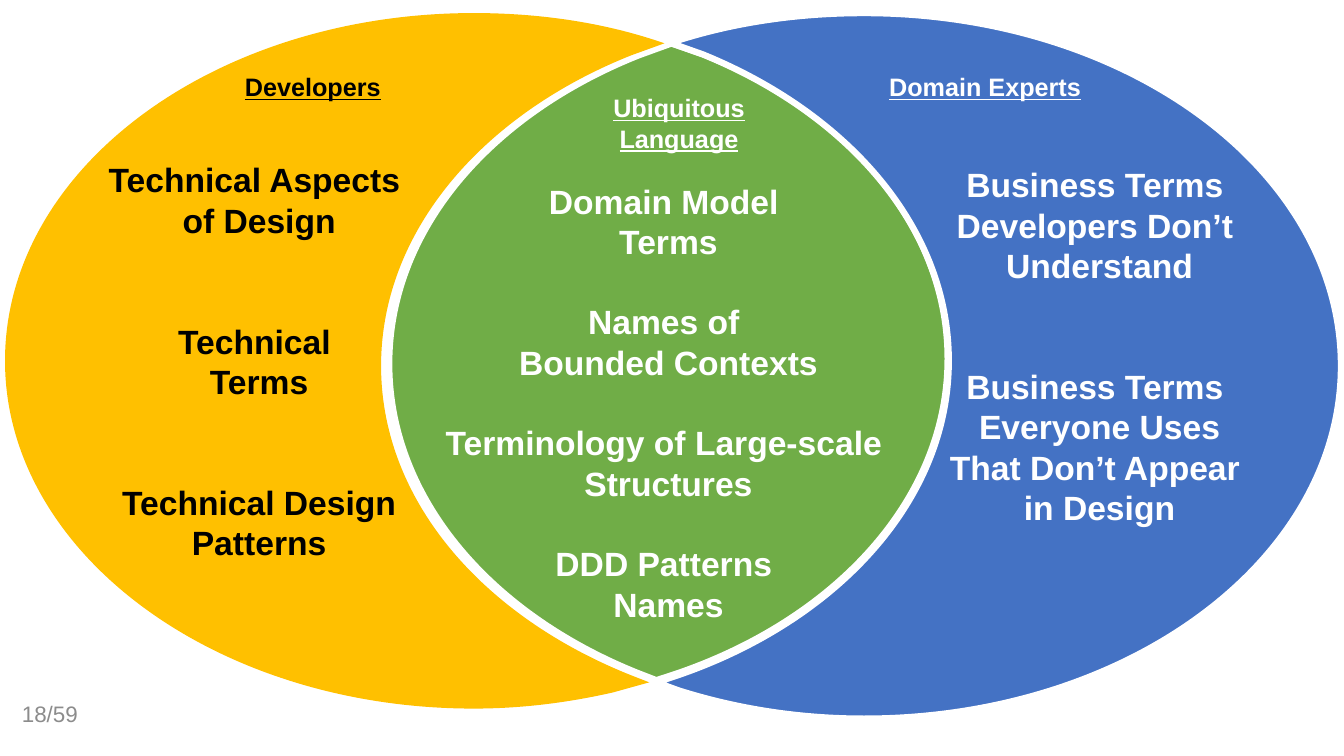
from dataclasses import dataclass

from lxml import etree
from pptx import Presentation
from pptx.dml.color import RGBColor
from pptx.enum.text import MSO_ANCHOR, PP_ALIGN
from pptx.oxml.ns import qn
from pptx.util import Inches, Pt

# Colours and constants
BLACK = RGBColor(0x00, 0x00, 0x00)
WHITE = RGBColor(0xFF, 0xFF, 0xFF)
GREY = RGBColor(0x8C, 0x8C, 0x8C)
GREEN = RGBColor(0x70, 0xAD, 0x47)
BLUE = RGBColor(0x44, 0x72, 0xC4)
AMBER = RGBColor(0xFF, 0xC0, 0x00)
LEFT, CENTER, RIGHT = PP_ALIGN.LEFT, PP_ALIGN.CENTER, PP_ALIGN.RIGHT
TOP, MIDDLE = MSO_ANCHOR.TOP, MSO_ANCHOR.MIDDLE
FONT = "Arial"
TERM_SIZE = 24
LINE_RATIO = 1.2

# Grid of 1333 columns by 750 rows
COLS, ROWS = 1333, 750
WIDTH, HEIGHT = Inches(13.33), Inches(7.5)

Point = tuple[float, float]


def col(n: float) -> int:
    return round(WIDTH * n / COLS)


def row(n: float) -> int:
    return round(HEIGHT * n / ROWS)


@dataclass
class Region:
    """A Venn region; each segment has one point (line) or three (curve)."""
    start: Point
    segments: list[tuple[Point, ...]]
    fill: RGBColor
    text_color: RGBColor
    border: float
    insets: tuple[float, float, float, float]  # left, top, right, bottom
    gap_lines: int
    terms: list[str]


@dataclass
class Label:
    box: tuple[float, float, float, float]
    text: str
    color: RGBColor
    align: PP_ALIGN
    size: int = 18
    heading: bool = True
    anchor: MSO_ANCHOR = TOP


REGIONS = [
    Region((666, 42), [
        ((698, 53),),
        ((843, 111), (941, 225), (941, 356)),
        ((941, 499), (824, 622), (657, 674)),
        ((651, 676),), ((633, 669),),
        ((485, 610), (385, 494), (385, 361)),
        ((385, 228), (485, 113), (633, 54)),
    ], GREEN, WHITE, 6, (0, 80, 0, 0), 1, [
        "Domain Model \nTerms",
        "Names of \nBounded Contexts",
        "Terminology of Large-scale \nStructures",
        "DDD Patterns \nNames",
    ]),
    Region((857, 13), [
        ((1118, 13), (1330, 169), (1330, 363)),
        ((1330, 556), (1118, 713), (857, 713)),
        ((792, 713), (730, 703), (673, 685)),
        ((651, 677),), ((657, 675),),
        ((824, 623), (941, 500), (941, 358)),
        ((941, 227), (842, 113), (697, 54)),
        ((666, 43),), ((673, 40),),
        ((730, 22), (792, 13), (857, 13)),
    ], BLUE, WHITE, 4.5, (200, 0, 0, 40), 2, [
        "Business Terms \nDevelopers Don’t \nUnderstand",
        "Business Terms \nEveryone Uses\nThat Don’t Appear \nin Design",
    ]),
    Region((470, 13), [
        ((534, 13), (595, 22), (650, 40)),
        ((659, 43),), ((626, 55),),
        ((478, 114), (378, 230), (378, 363)),
        ((378, 496), (478, 611), (626, 670)),
        ((644, 677),), ((608, 687),),
        ((564, 697), (518, 703), (470, 703)),
        ((213, 703), (5, 548), (5, 358)),
        ((5, 167), (213, 13), (470, 13)),
    ], AMBER, BLACK, 0, (0, 0, 150, 0), 2, [
        "Technical Aspects \nof Design",
        "Technical \nTerms",
        "Technical Design\nPatterns",
    ]),
]

LABELS = [
    Label((233, 66, 251, 40), "Developers", BLACK, LEFT),
    Label((831, 66, 251, 40), "Domain Experts", WHITE, RIGHT),
    Label((548, 87, 251, 71), "Ubiquitous\nLanguage", WHITE, CENTER),
    Label((11, 688, 76, 40), "18/59", GREY, RIGHT, 16, False, MIDDLE),
]


def bend(sp, segments: list[tuple[Point, ...]]) -> None:
    """Turn the straight edges of curved segments into cubic curves."""
    edges = list(sp.element.iter(qn("a:lnTo")))
    for edge, segment in zip(edges, segments):
        if len(segment) == 1:
            continue
        edge.tag = qn("a:cubicBezTo")
        for i, (x, y) in enumerate(segment[:2]):
            control = etree.Element(qn("a:pt"), x=str(col(x) - sp.left),
                                    y=str(row(y) - sp.top))
            edge.insert(i, control)


def style(p, size: int, color: RGBColor, align: PP_ALIGN) -> None:
    p.alignment = align
    p.line_spacing = Pt(size * LINE_RATIO)
    p.font.name = FONT
    p.font.size = Pt(size)
    p.font.color.rgb = color


def draw_region(s, region: Region) -> None:
    corners = [(col(x), row(y))
               for x, y in (segment[-1] for segment in region.segments)]
    builder = s.shapes.build_freeform(col(region.start[0]), row(region.start[1]))
    builder.add_line_segments(corners, close=True)
    sp = builder.convert_to_shape()
    bend(sp, region.segments)
    sp.shadow.inherit = False
    sp.fill.solid()
    sp.fill.fore_color.rgb = region.fill
    if region.border:
        sp.line.color.rgb = WHITE
        sp.line.width = Pt(region.border)
    else:
        sp.line.fill.background()

    tf = sp.text_frame
    tf.word_wrap = True
    tf.vertical_anchor = MIDDLE
    left, top, right, bottom = region.insets
    tf.margin_left, tf.margin_right = col(left), col(right)
    tf.margin_top, tf.margin_bottom = row(top), row(bottom)
    for i, term in enumerate(region.terms):
        p = tf.add_paragraph() if i else tf.paragraphs[0]
        p.text = term
        style(p, TERM_SIZE, region.text_color, CENTER)
        p.font.bold = True
        if i:
            p.space_before = Pt(region.gap_lines * TERM_SIZE * LINE_RATIO)


def draw_label(s, label: Label) -> None:
    x, y, w, h = label.box
    tf = s.shapes.add_textbox(col(x), row(y), col(w), row(h)).text_frame
    tf.word_wrap = True
    tf.vertical_anchor = label.anchor
    p = tf.paragraphs[0]
    p.text = label.text
    style(p, label.size, label.color, label.align)
    p.font.bold = label.heading
    p.font.underline = label.heading


def main() -> None:
    prs = Presentation()
    prs.slide_width, prs.slide_height = WIDTH, HEIGHT
    s = prs.slides.add_slide(prs.slide_layouts[6])
    # Venn regions, then headings and page number
    for region in REGIONS:
        draw_region(s, region)
    for label in LABELS:
        draw_label(s, label)
    prs.save("out.pptx")


if __name__ == "__main__":
    main()
